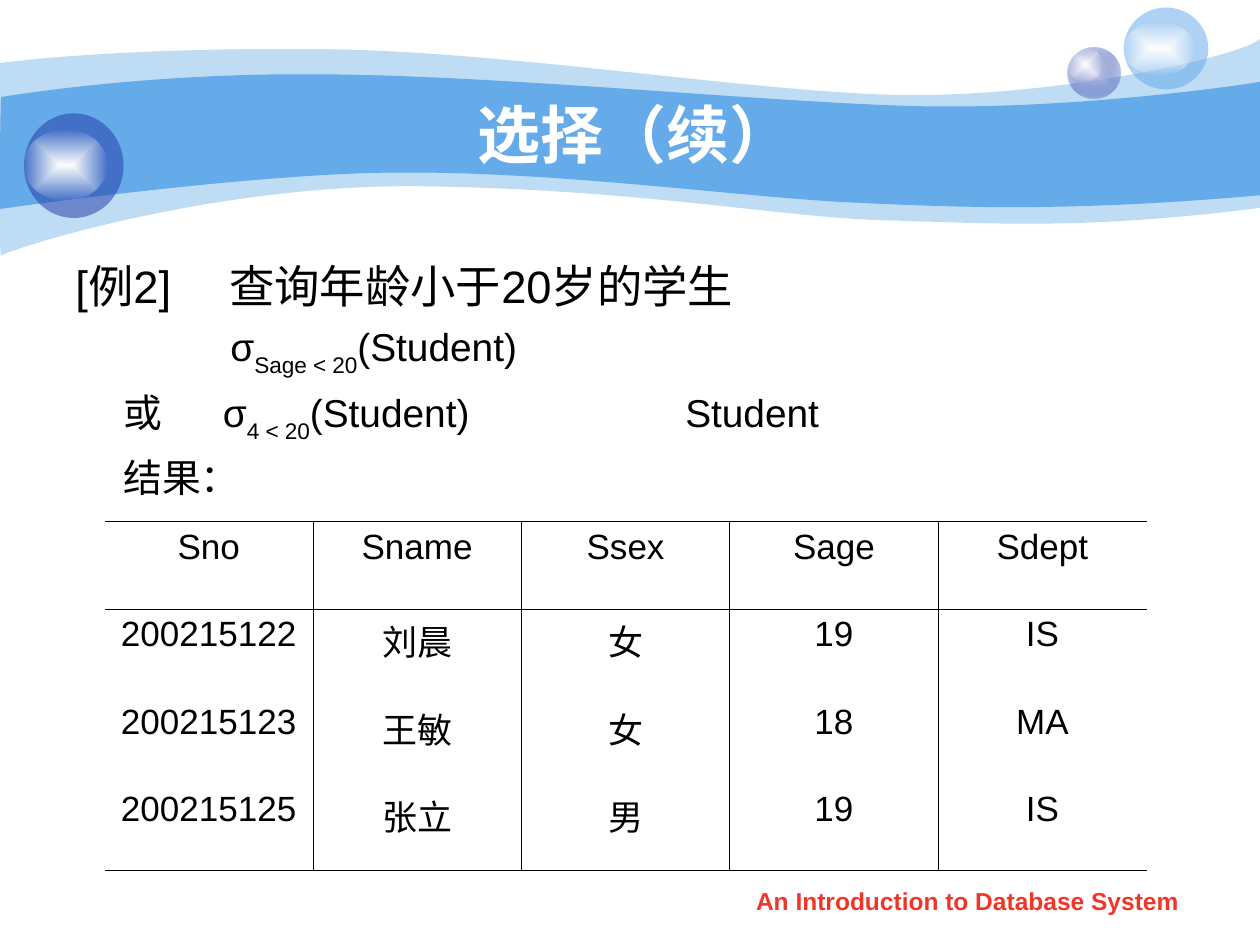
from lxml import etree
from pptx import Presentation
from pptx.dml.color import RGBColor
from pptx.enum.shapes import MSO_SHAPE
from pptx.enum.text import MSO_ANCHOR, PP_ALIGN
from pptx.oxml import parse_xml
from pptx.oxml.ns import nsdecls, qn
from pptx.util import Inches, Pt

ELLIPSE = MSO_SHAPE.OVAL
MIDDLE = MSO_ANCHOR.MIDDLE
CENTER = PP_ALIGN.CENTER
JUSTIFY = PP_ALIGN.JUSTIFY
SKY = RGBColor(0x65, 0xAA, 0xE9)
NAVY = RGBColor(0x23, 0x3D, 0xA9)
LAVENDER = RGBColor(0xC6, 0xCC, 0xE8)
WHITE = RGBColor(0xFF, 0xFF, 0xFF)
NEAR_WHITE = RGBColor(0xFE, 0xFE, 0xFE)
BLACK = RGBColor(0, 0, 0)
RED = RGBColor(0xF0, 0x36, 0x28)


def paint(shape, color, opacity, center=None):
    shape.shadow.inherit = False
    shape.line.fill.background()
    shape.fill.solid()
    shape.fill.fore_color.rgb = color
    solid = shape._element.spPr.find(qn("a:solidFill"))
    if opacity < 100:
        etree.SubElement(solid[0], qn("a:alpha"), val=str(opacity * 1000))
    if center is not None:
        gradient = parse_xml(
            f'<a:gradFill {nsdecls("a")} rotWithShape="1"><a:gsLst>'
            f'<a:gs pos="0"><a:srgbClr val="{center}"/></a:gs>'
            f'<a:gs pos="100000"><a:srgbClr val="{color}"><a:alpha val="{opacity * 1000}"/></a:srgbClr></a:gs>'
            '</a:gsLst><a:path path="rect"><a:fillToRect l="50000" t="50000" r="50000" b="50000"/></a:path>'
            '</a:gradFill>')
        solid.getparent().replace(solid, gradient)


def style(span, size, color=BLACK, bold=False):
    span.font.name = "Arial"
    span.font.size = Pt(size)
    span.font.color.rgb = color
    span.font.bold = bold


deck = Presentation()
deck.slide_width, deck.slide_height = Inches(10), Inches(7.5)
page = deck.slides.add_slide(deck.slide_layouts[6])

waves = [
    (41, [(0, 0.5),
          (0.24, 0.47, 1.07, 0.38, 2.47, 0.39), (3.86, 0.39, 5.75, 0.7, 6.99, 0.75),
          (8.22, 0.8, 9.8, 0.47, 10, 0.31), (10, 1.65),
          (8.58, 1.83, 7.87, 1.77, 7.05, 1.75), (6.22, 1.73, 5.15, 1.51, 3.43, 1.48),
          (1.72, 1.44, 0.04, 1.99, 0.01, 2.03), (-0.01, 2.08, 0, 0.75, 0, 0.5)]),
    (100, [(0.01, 0.77),
           (0.02, 0.77, 1.1, 0.58, 2.48, 0.59), (3.86, 0.59, 5.95, 0.8, 7.18, 0.84),
           (8.41, 0.88, 9.76, 0.69, 10, 0.65), (10, 1.55),
           (8.53, 1.68, 7.65, 1.65, 6.82, 1.61), (5.99, 1.58, 4.47, 1.36, 3.17, 1.37),
           (2.03, 1.37, -0.02, 1.66, -0.01, 1.66), (0, 1.66, 0, 0.77, 0.01, 0.77)]),
]
for opacity, (start, *segments) in waves:
    outline = page.shapes.build_freeform(Inches(start[0]), Inches(start[1]))
    outline.add_line_segments([(Inches(s[-2]), Inches(s[-1])) for s in segments], close=True)
    wave = outline.convert_to_shape()
    edges = list(wave._element.iter(qn("a:lnTo")))
    for edge, segment in zip(edges, segments):
        if len(segment) == 6:
            curve = etree.Element(qn("a:cubicBezTo"))
            for x, y in zip(segment[::2], segment[1::2]):
                etree.SubElement(curve, qn("a:pt"), x=str(Inches(x) - wave.left), y=str(Inches(y) - wave.top))
            edge.getparent().replace(edge, curve)
    paint(wave, SKY, opacity)

bubbles = [
    ((8.47, 0.38, 0.42, 0.4), NAVY, 31, LAVENDER),
    ((8.47, 0.38, 0.28, 0.27), NEAR_WHITE, 0, WHITE),
    ((8.92, 0.06, 0.67, 0.65), SKY, 53, None),
    ((8.92, 0.17, 0.56, 0.43), NEAR_WHITE, 0, WHITE),
    ((0.19, 0.9, 0.79, 0.83), NAVY, 53, None),
    ((0.19, 1.03, 0.66, 0.56), NEAR_WHITE, 0, WHITE),
]
for place, color, opacity, center in bubbles:
    bubble = page.shapes.add_shape(ELLIPSE, *map(Inches, place))
    paint(bubble, color, opacity, center)

headings = [
    ((1, 0.75, 8.08, 0.62), "选择（续）", 36, WHITE),
    ((5.71, 6.98, 3.94, 0.35), "An Introduction to Database System", 14, RED),
]
for place, text, size, color in headings:
    box = page.shapes.add_textbox(*map(Inches, place))
    frame = box.text_frame
    frame.word_wrap = True
    frame.text = text
    para = frame.paragraphs[0]
    para.alignment = CENTER
    style(para.runs[0], size, color, True)
    if size == 36:
        frame.vertical_anchor = MIDDLE

body = page.shapes.add_textbox(Inches(0.5), Inches(2), Inches(8.99), Inches(2.06))
frame = body.text_frame
frame.word_wrap = True
lines = [
    ([1.22], ["[例2]\t查询年龄小于20岁的学生"]),
    ([1.23], ["\tσ", "Sage < 20", "(Student)"]),
    ([0.38, 1.17, 4.84], ["\t或\tσ", "4 < 20", "(Student)\tStudent"]),
    ([0.38], ["\t结果："]),
]
for index, (stops, pieces) in enumerate(lines):
    para = frame.add_paragraph() if index else frame.paragraphs[0]
    tabs = etree.SubElement(para._p.get_or_add_pPr(), qn("a:tabLst"))
    for stop in stops:
        etree.SubElement(tabs, qn("a:tab"), pos=str(Inches(stop)), algn="l")
    para.alignment = JUSTIFY
    if index:
        para.space_before = Pt(6)
    for position, piece in enumerate(pieces):
        span = para.add_run()
        span.text = piece
        style(span, 22.2 if index else 25.9)
        if position == 1:
            span._r.get_or_add_rPr().set("baseline", "-30000")

students = [
    ("Sno", "Sname", "Ssex", "Sage", "Sdept"),
    ("200215122", "刘晨", "女", "19", "IS"),
    ("200215123", "王敏", "女", "18", "MA"),
    ("200215125", "张立", "男", "19", "IS"),
]
last_row, last_column = len(students) - 1, len(students[0]) - 1
table = page.shapes.add_table(
    len(students), len(students[0]), Inches(0.83), Inches(4.14), Inches(8.27), Inches(2.77)).table
table.first_row = table.horz_banding = False
for row, record in enumerate(students):
    for column, value in enumerate(record):
        cell = table.cell(row, column)
        cell.text = value
        para = cell.text_frame.paragraphs[0]
        para.alignment = CENTER
        style(para.runs[0], 20)
        borders = {
            "L": 0.45 if column else 0,
            "R": 0.45 if column < last_column else 0,
            "T": {0: 1.08, 1: 0.45}.get(row, 0),
            "B": {0: 0.45, last_row: 1.08}.get(row, 0),
        }
        for side, width in borders.items():
            edge = etree.SubElement(cell._tc.get_or_add_tcPr(), qn(f"a:ln{side}"), w=str(Pt(width)))
            if width:
                fill = etree.SubElement(edge, qn("a:solidFill"))
                etree.SubElement(fill, qn("a:srgbClr"), val=str(BLACK))
            else:
                etree.SubElement(edge, qn("a:noFill"))
        cell.fill.background()

deck.save("out.pptx")
